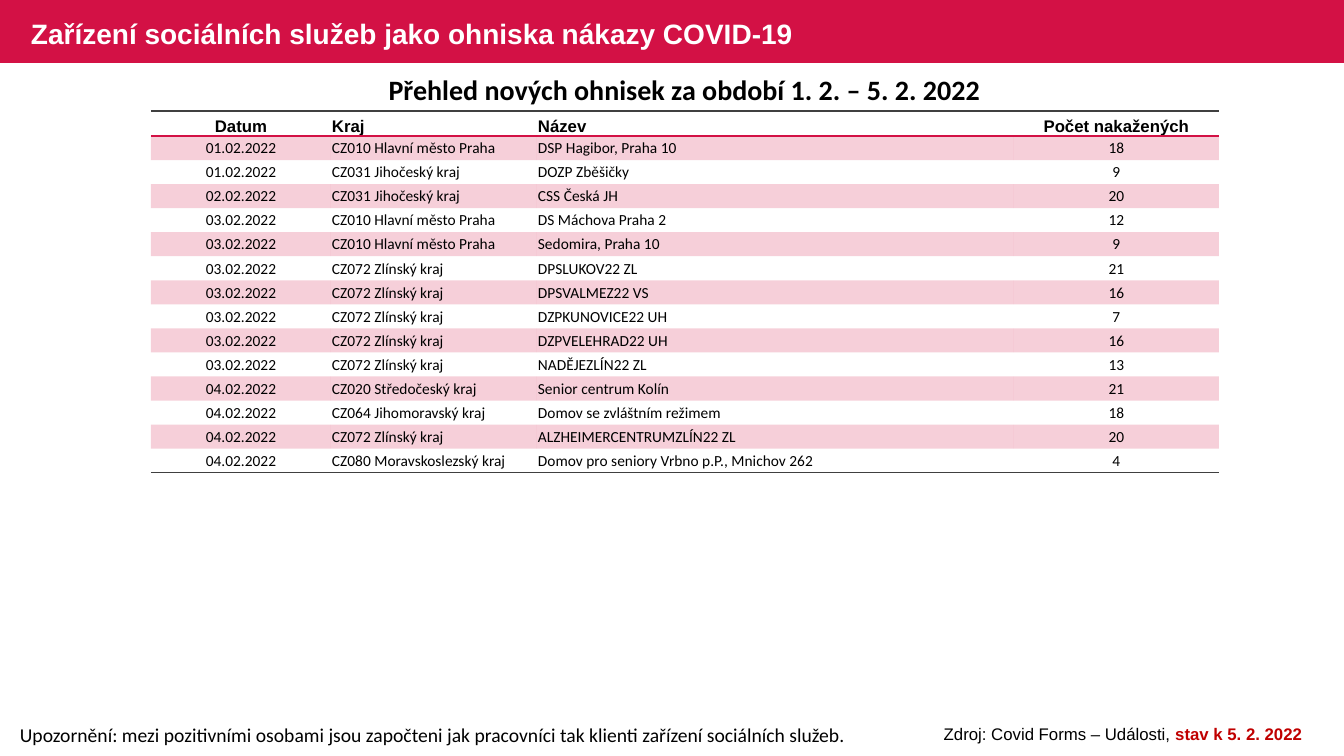
from pptx import Presentation
from pptx.dml.color import RGBColor
from pptx.enum.shapes import MSO_SHAPE
from pptx.enum.text import MSO_ANCHOR, PP_ALIGN
from pptx.oxml.ns import qn
from pptx.util import Pt
from lxml.etree import SubElement

RED, DARK, BLACK = "D31145", "404040", "000000"
LEFT, CENTER = PP_ALIGN.LEFT, PP_ALIGN.CENTER

# Texts: box in px, alignment, anchor, runs of (text, size, font, colour, bold)
TEXTS = [
    ((21, 2, 820, 63), LEFT, MSO_ANCHOR.MIDDLE,
     [("Zařízení sociálních služeb jako ohniska nákazy COVID-19", 20, "Arial", "FFFFFF", True)]),
    ((53, 68, 1263, 44), CENTER, MSO_ANCHOR.TOP,
     [("Přehled nových ohnisek za období 1. 2. – 5. 2. 2022", 20, "Calibri", BLACK, True)]),
    ((10, 718, 859, 34), LEFT, MSO_ANCHOR.TOP,
     [("Upozornění: mezi pozitivními osobami jsou započteni jak pracovníci tak klienti "
       "zařízení sociálních služeb.", 14, "Calibri", BLACK, False)]),
    ((913, 719, 420, 30), CENTER, MSO_ANCHOR.TOP,
     [("Zdroj: Covid Forms – Události, ", 12, "Arial", BLACK, False),
      ("stav k 5. 2. 2022", 12, "Arial", "C00000", True)]),
]

# Table: columns of (heading, width in px, alignment), then the outbreaks
COLUMNS = [("Datum", 180, CENTER), ("Kraj", 206, LEFT),
           ("Název", 477, LEFT), ("Počet nakažených", 205, CENTER)]
OUTBREAKS = [
    ("01.02.2022", "CZ010 Hlavní město Praha", "DSP Hagibor, Praha 10", "18"),
    ("01.02.2022", "CZ031 Jihočeský kraj", "DOZP Zběšičky", "9"),
    ("02.02.2022", "CZ031 Jihočeský kraj", "CSS Česká JH", "20"),
    ("03.02.2022", "CZ010 Hlavní město Praha", "DS Máchova Praha 2", "12"),
    ("03.02.2022", "CZ010 Hlavní město Praha", "Sedomira, Praha 10", "9"),
    ("03.02.2022", "CZ072 Zlínský kraj", "DPSLUKOV22 ZL", "21"),
    ("03.02.2022", "CZ072 Zlínský kraj", "DPSVALMEZ22 VS", "16"),
    ("03.02.2022", "CZ072 Zlínský kraj", "DZPKUNOVICE22 UH", "7"),
    ("03.02.2022", "CZ072 Zlínský kraj", "DZPVELEHRAD22 UH", "16"),
    ("03.02.2022", "CZ072 Zlínský kraj", "NADĚJEZLÍN22 ZL", "13"),
    ("04.02.2022", "CZ020 Středočeský kraj", "Senior centrum Kolín", "21"),
    ("04.02.2022", "CZ064 Jihomoravský kraj", "Domov se zvláštním režimem", "18"),
    ("04.02.2022", "CZ072 Zlínský kraj", "ALZHEIMERCENTRUMZLÍN22 ZL", "20"),
    ("04.02.2022", "CZ080 Moravskoslezský kraj", "Domov pro seniory Vrbno p.P., Mnichov 262", "4"),
]
TABLE_X, TABLE_Y, HEAD_H, BODY_H = 151, 111, 25, 337
NO_STYLE = "{2D5ABB26-0587-4C30-8999-92F81FD0307C}"


def px(n):
    return round(n * 12192000 / 1344)


def rgb(color):
    return RGBColor.from_string(color)


def add_run(p, text, size, font, color, bold):
    r = p.add_run()
    r.text = text
    r.font.size, r.font.name, r.font.bold = Pt(size), font, bold
    r.font.color.rgb = rgb(color)


def set_border(cell, side, color):
    ln = SubElement(cell._tc.get_or_add_tcPr(), qn(f"a:ln{side}"), w=str(Pt(1)))
    SubElement(SubElement(ln, qn("a:solidFill")), qn("a:srgbClr"), val=color)


def set_tint(cell, color, percent):
    cell.fill.solid()
    cell.fill.fore_color.rgb = rgb(color)
    clr = cell._tc.tcPr.find(qn("a:solidFill")).find(qn("a:srgbClr"))
    SubElement(clr, qn("a:alpha"), val=str(percent * 1000))


prs = Presentation()
prs.slide_width, prs.slide_height = px(1344), px(756)
s = prs.slides.add_slide(prs.slide_layouts[6])

# Title band
band = s.shapes.add_shape(MSO_SHAPE.RECTANGLE, 0, 0, px(1344), px(63))
band.shadow.inherit = False
band.fill.solid()
band.fill.fore_color.rgb = rgb(RED)
band.line.fill.background()

# Title, heading and footnotes
for box, align, anchor, runs in TEXTS:
    tf = s.shapes.add_textbox(*map(px, box)).text_frame
    tf.word_wrap = True
    tf.vertical_anchor = anchor
    p = tf.paragraphs[0]
    p.alignment = align
    for run in runs:
        add_run(p, *run)

# Table of outbreaks
rows = [[heading for heading, _, _ in COLUMNS]] + OUTBREAKS
last = len(OUTBREAKS)
table_w = sum(width for _, width, _ in COLUMNS)
frame = s.shapes.add_table(len(rows), len(COLUMNS), px(TABLE_X), px(TABLE_Y),
                           px(table_w), px(HEAD_H + BODY_H))
table = frame.table
table.horz_banding = False
table._tbl.tblPr.find(qn("a:tableStyleId")).text = NO_STYLE
for col, (_, width, _) in zip(table.columns, COLUMNS):
    col.width = px(width)

for i, values in enumerate(rows):
    head = i == 0
    table.rows[i].height = px(HEAD_H if head else BODY_H / last)
    for j, value in enumerate(values):
        cell = table.cell(i, j)
        cell.margin_left = cell.margin_right = px(1)
        cell.margin_top, cell.margin_bottom = px(0 if head else 1), 0
        cell.vertical_anchor = MSO_ANCHOR.BOTTOM if head else MSO_ANCHOR.MIDDLE
        p = cell.text_frame.paragraphs[0]
        p.alignment = COLUMNS[j][2]
        size, font = (12, "Arial") if head else (11, "Calibri")
        add_run(p, value, size, font, BLACK, head)
        if head:
            set_border(cell, "T", DARK)
            set_border(cell, "B", RED)
        elif i == last:
            set_border(cell, "B", DARK)
        if i % 2:
            set_tint(cell, RED, 20)
        else:
            cell.fill.background()

prs.save("out.pptx")
